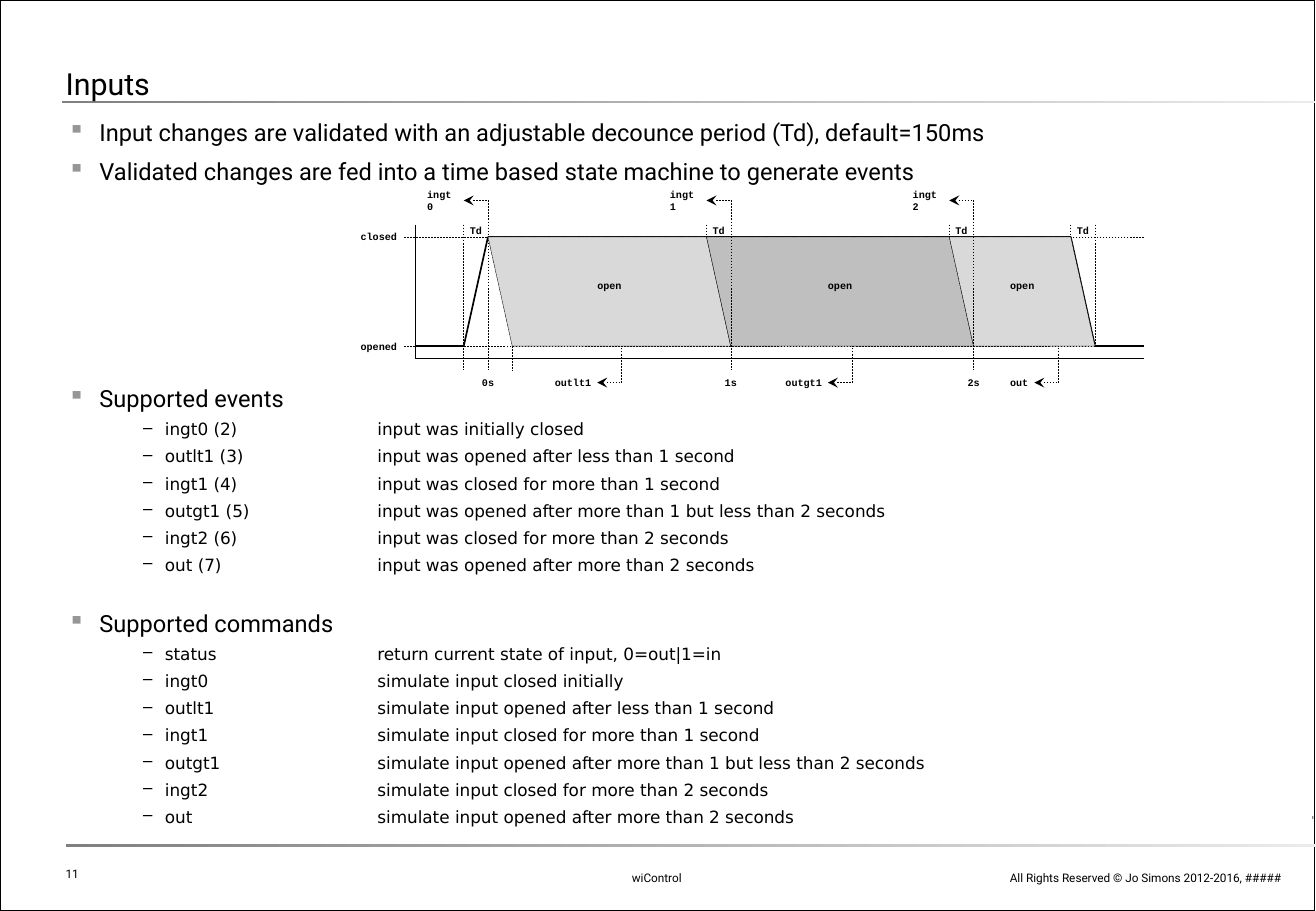
import pptx
import pptx.util
import pptx.dml.color
import pptx.enum.dml
import pptx.enum.shapes
import pptx.enum.text
import pptx.oxml
import pptx.oxml.ns

PX = 9144
CLOSED, OPENED, AXIS = 195, 285, 295
SKEW = 20
ALIGN = pptx.enum.text.PP_ALIGN
ANCHOR = pptx.enum.text.MSO_ANCHOR
SHAPE = pptx.enum.shapes.MSO_SHAPE
DASH = pptx.enum.dml.MSO_LINE

INTRO = [
    "Input changes are validated with an adjustable decounce period (Td), default=150ms",
    "Validated changes are fed into a time based state machine to generate events",
]
EVENTS = [
    "ingt0 (2)\tinput was initially closed",
    "outlt1 (3)\tinput was opened after less than 1 second",
    "ingt1 (4)\tinput was closed for more than 1 second",
    "outgt1 (5)\tinput was opened after more than 1 but less than 2 seconds",
    "ingt2 (6)\tinput was closed for more than 2 seconds",
    "out (7)\tinput was opened after more than 2 seconds",
]
COMMANDS = [
    "status\treturn current state of input, 0=out|1=in",
    "ingt0\tsimulate input closed initially",
    "outlt1\tsimulate input opened after less than 1 second",
    "ingt1\tsimulate input closed for more than 1 second",
    "outgt1\tsimulate input opened after more than 1 but less than 2 seconds",
    "ingt2\tsimulate input closed for more than 2 seconds",
    "out\tsimulate input opened after more than 2 seconds",
]
HEADING = dict(size=14, font="Roboto", bullet="▪", bullet_color="969696",
               margin=45, hang=26, before=6.1)
ITEM = dict(size=10, font="DejaVu Sans", bullet="–", bullet_color="000000",
            margin=99, hang=18, before=4.1, tab=274)


def px(n):
    return pptx.util.Emu(n * PX)


def rgb(color):
    return pptx.dml.color.RGBColor.from_string(color)


def add_xml(parent, xml):
    ns = pptx.oxml.ns.nsdecls("a")
    parent.append(pptx.oxml.parse_xml(xml.replace("/>", f" {ns}/>", 1) if xml.count("<") == 1
                                      else xml.replace(">", f" {ns}>", 1)))


def add_text(tf, text, size=7, font="Roboto", bold=False, align=ALIGN.LEFT, spacing=None,
             bullet=None, bullet_color="000000", margin=0, hang=0, before=0, tab=None):
    p = tf.paragraphs[0]
    if p.runs:
        p = tf.add_paragraph()
        p.space_before = pptx.util.Pt(before)
    p.alignment = align
    if spacing:
        p.line_spacing = spacing
    if bullet:
        pPr = p._p.get_or_add_pPr()
        pPr.set("marL", str(margin * PX))
        pPr.set("indent", str(-hang * PX))
        add_xml(pPr, f'<a:buClr><a:srgbClr val="{bullet_color}"/></a:buClr>')
        add_xml(pPr, f'<a:buChar char="{bullet}"/>')
        if tab:
            add_xml(pPr, f'<a:tabLst><a:tab pos="{tab * PX}" algn="l"/></a:tabLst>')
    r = p.add_run()
    r.text = text
    r.font.size = pptx.util.Pt(size)
    r.font.name = font
    r.font.bold = bold
    r.font.color.rgb = rgb("000000")


def add_box(s, x, y, w, h, anchor=ANCHOR.TOP, insets=(10, 5, 10, 5), wrap=True):
    sp = s.shapes.add_textbox(px(x), px(y), px(w), px(h))
    tf = sp.text_frame
    tf.word_wrap = wrap
    tf.vertical_anchor = anchor
    tf.margin_left, tf.margin_top, tf.margin_right, tf.margin_bottom = map(px, insets)
    return sp


def add_label(s, text, x, y, w, h=20, align=ALIGN.CENTER, inset=5):
    sp = add_box(s, x, y, w, h, ANCHOR.MIDDLE, (inset, 0, inset, 0), False)
    add_text(sp.text_frame, text, size=6, font="Courier New", bold=True, align=align)


def add_list(s, y, h, headings, items=()):
    tf = add_box(s, 27, y, 1038, h).text_frame
    for text in headings:
        add_text(tf, text, **HEADING)
    for text in items:
        add_text(tf, text, **ITEM)


def add_line(s, x1, y1, x2, y2, width=1.0, dash=False, arrow=False):
    sp = s.shapes.add_connector(pptx.enum.shapes.MSO_CONNECTOR.STRAIGHT,
                                px(x1), px(y1), px(x2), px(y2))
    sp.line.color.rgb = rgb("000000")
    sp.line.width = pptx.util.Pt(width)
    if dash:
        sp.line.dash_style = DASH.DASH
    if arrow:
        add_xml(sp.line._get_or_add_ln(), '<a:headEnd type="stealth"/>')
    add_xml(sp._element.spPr, "<a:effectLst/>")


def add_guide(s, x1, y1, x2, y2, arrow=False):
    add_line(s, x1, y1, x2, y2, 0.25, True, arrow)


def add_bar(s, x, y, w, h, end_color):
    sp = s.shapes.add_shape(SHAPE.RECTANGLE, px(x), px(y), px(w), px(h))
    sp.shadow.inherit = False
    sp.line.fill.background()
    sp.fill.gradient()
    sp.fill.gradient_angle = 0
    for stop, color in zip(sp.fill.gradient_stops, ("808080", end_color)):
        stop.color.rgb = rgb(color)


def add_frame(s):
    sp = s.shapes.add_shape(SHAPE.RECTANGLE, 0, 0, px(1083), px(750))
    sp.shadow.inherit = False
    sp.fill.background()
    sp.line.color.rgb = rgb("000000")
    sp.line.width = pptx.util.Pt(1)


def add_segment(s, x, w, color):
    h = OPENED - CLOSED
    sp = s.shapes.add_shape(SHAPE.PARALLELOGRAM, px(x), px(CLOSED), px(w), px(h))
    sp.shadow.inherit = False
    sp.adjustments[0] = SKEW / h
    sp._element.spPr.xfrm.set("flipH", "1")
    sp.fill.solid()
    sp.fill.fore_color.rgb = rgb(color)
    sp.line.color.rgb = rgb("000000")
    sp.line.width = pptx.util.Pt(0.25)
    sp.line.dash_style = DASH.SQUARE_DOT


def add_callout(s, text, x, y, w=40, align=ALIGN.RIGHT, inset=5):
    add_label(s, text, x - 20 - w, y - 10, w, align=align, inset=inset)
    add_guide(s, x - 20, y, x, y, arrow=True)


def add_timing_diagram(s):
    for text, y in (("closed", CLOSED), ("opened", OPENED)):
        add_guide(s, 942, y, 332, y)
        add_label(s, text, 282, y - 10, 50, align=ALIGN.RIGHT)
    add_line(s, 942, AXIS, 342, AXIS, 0.75)
    add_line(s, 342, 185, 342, AXIS, 0.75)

    signal = [(342, OPENED), (382, OPENED), (402, CLOSED),
              (882, CLOSED), (902, OPENED), (942, OPENED)]
    for start, end in zip(signal, signal[1:]):
        add_line(s, *start, *end)

    for x, top, bottom in ((382, 185, 305), (422, OPENED, 305), (902, 185, OPENED),
                           (582, 185, CLOSED), (782, 185, CLOSED), (882, 185, CLOSED),
                           (402, 165, 305)):
        add_guide(s, x, top, x, bottom)
    for x, w, color in ((402, 200, "D9D9D9"), (582, 220, "BFBFBF"), (782, 120, "D9D9D9")):
        add_segment(s, x, w, color)
    for x in (602, 802):
        add_guide(s, x, 165, x, 305)

    for second, x in enumerate((402, 602, 802)):
        add_callout(s, f"ingt{second}", x, 165, align=ALIGN.LEFT, inset=10)
        add_label(s, f"{second}s", x - 20, 305, 40)
    for text, x, w in (("outlt1", 512, 40), ("outgt1", 702, 40), ("out", 872, 30)):
        add_callout(s, text, x, 315, w)
        add_guide(s, x, 315, x, OPENED)
    for x in (382, 582, 782, 882):
        add_label(s, "Td", x - 10, 185, 40, 10)
    for x in (472, 662, 812):
        add_label(s, "open", x, 225, 60)


def main():
    prs = pptx.Presentation()
    prs.slide_width, prs.slide_height = px(1084), px(750)
    s = prs.slides.add_slide(prs.slide_layouts[6])

    add_bar(s, 1081, 672, 1, 2, "D7D7D7")
    add_frame(s)
    add_bar(s, 54, 695, 1032, 2, "EBEBEB")
    add_bar(s, 51, 83, 1032, 2, "EBEBEB")

    sp = add_box(s, 803, 708, 262, 25, ANCHOR.BOTTOM)
    add_text(sp.text_frame, "All Rights Reserved © Jo Simons 2012-2016, #####", align=ALIGN.RIGHT)
    sp = add_box(s, 469, 708, 144, 25, ANCHOR.BOTTOM)
    add_text(sp.text_frame, "wiControl", align=ALIGN.CENTER)
    sp = add_box(s, 54, 709, 163, 23, insets=(0, 5, 10, 5))
    add_text(sp.text_frame, "11")
    sp = add_box(s, 54, 8, 978, 76, ANCHOR.BOTTOM, (0, 0, 0, 0))
    add_text(sp.text_frame, "Inputs", size=18, spacing=1.2)

    add_list(s, 92, 62, INTRO)
    add_list(s, 311, 170, ["Supported events"], EVENTS)
    add_list(s, 496, 190, ["Supported commands"], COMMANDS)
    add_timing_diagram(s)
    prs.save("out.pptx")


if __name__ == "__main__":
    main()
